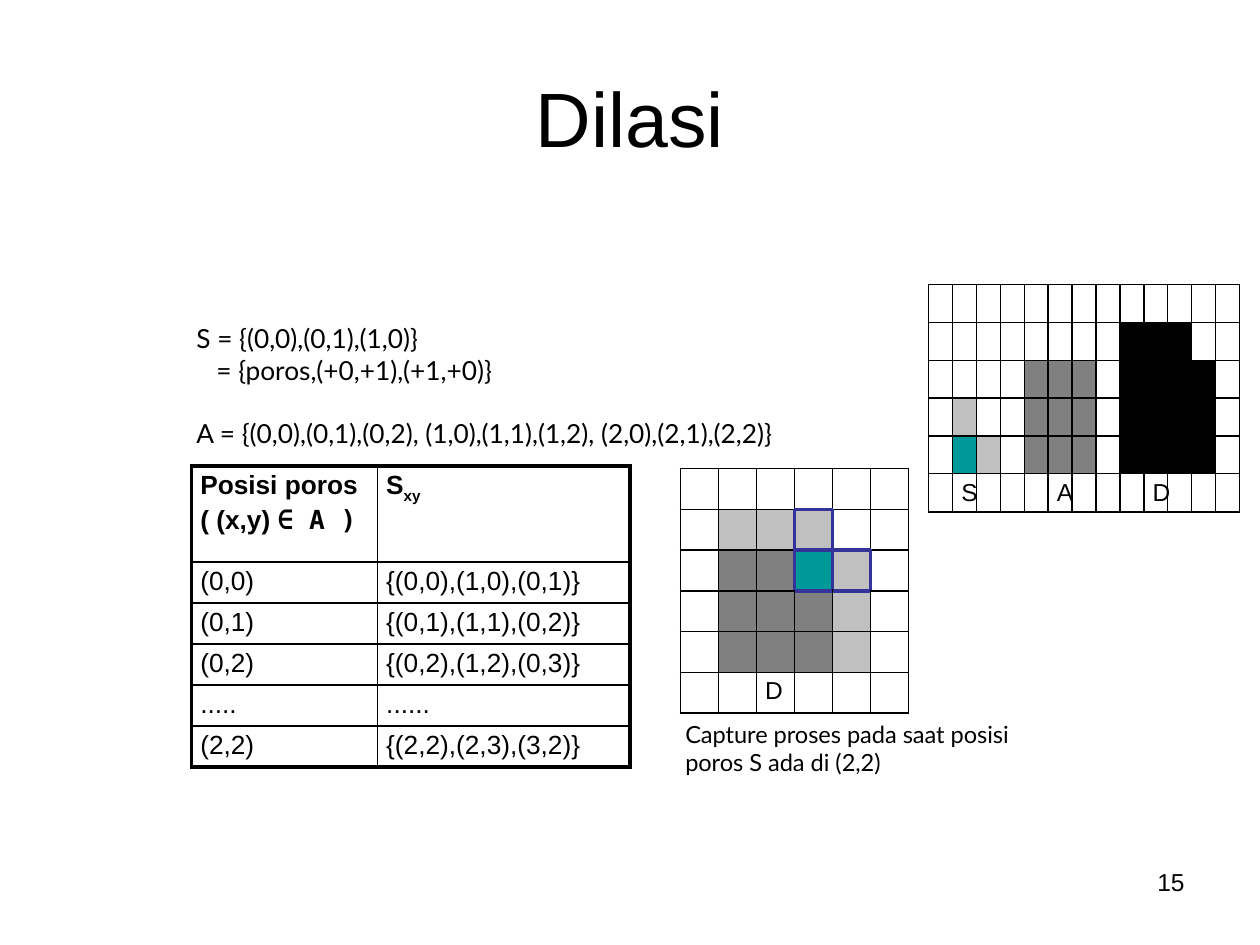
"""Build the slide that explains dilation with two pixel grids and a table of positions."""
from dataclasses import dataclass

from lxml.etree import SubElement
from pptx import Presentation
from pptx.dml.color import RGBColor
from pptx.enum.text import MSO_ANCHOR, PP_ALIGN
from pptx.oxml.ns import qn
from pptx.util import Inches, Pt


@dataclass(frozen=True)
class Theme:
    sans: str = "Arial"
    body: str = "Lato"
    mono: str = "DejaVu Sans Mono"
    ink: str = "000000"
    highlight: str = "333399"
    title_size: float = 44
    text_size: float = 15
    label_size: float = 14
    caption_size: float = 13.5
    empty_size: float = 8
    thin: float = 1
    thick: float = 2.25


THEME = Theme()
WIDTH, HEIGHT = Inches(10), Inches(7.5)
FILLS = {"#": "000000", "a": "808080", "s": "C0C0C0", "p": "009999"}

AREAS = {
    "title": (5, 4, 90, 16.67),
    "overview": (73.7, 30.13, 24.7, 24),
    "positions": (15.2, 49.33, 34.8, 31.87),
    "sets": (14.6, 33.47, 55.5, 14.8),
    "capture": (54, 49.6, 18.1, 25.87),
    "caption": (53.4, 75.47, 29.2, 7.47),
    "number": (71.7, 91.07, 23.3, 6.93),
}
OVERVIEW = [
    ".............",
    "........###..",
    "....aaa.####.",
    ".s..aaa.####.",
    ".ps.aaa.####.",
    ".............",
]
OVERVIEW_LABELS = {(5, 1): "S", (5, 5): "A", (5, 9): "D"}
CAPTURE = ["......", ".sss..", ".aaps.", ".aaas.", ".aaas.", "......"]
CAPTURE_LABELS = {(5, 2): "D"}
STRUCTURE_CELLS = {(1, 3), (2, 3), (2, 4)}
POSITIONS = [
    ("(0,0)", "{(0,0),(1,0),(0,1)}"),
    ("(0,1)", "{(0,1),(1,1),(0,2)}"),
    ("(0,2)", "{(0,2),(1,2),(0,3)}"),
    (".....", "......"),
    ("(2,2)", "{(2,2),(2,3),(3,2)}"),
]
POSITION_COLUMNS = (1.48, 2.01)
POSITION_ROWS = (7,) + (3,) * len(POSITIONS)
SETS = [
    "S = {(0,0),(0,1),(1,0)}",
    "= {poros,(+0,+1),(+1,+0)}",
    "A = {(0,0),(0,1),(0,2), (1,0),(1,1),(1,2), (2,0),(2,1),(2,2)}",
]
CAPTION = ["Capture proses pada saat posisi", "poros S ada di (2,2)"]
SIDES = {"L": (0, -1), "R": (0, 1), "T": (-1, 0), "B": (1, 0)}


def place(name):
    left, top, width, height = AREAS[name]
    return [int(share * length / 100) for share, length in
            zip((left, top, width, height), (WIDTH, HEIGHT, WIDTH, HEIGHT))]


def style(paragraph, size, font, bold=False):
    paragraph.font.size = Pt(size)
    paragraph.font.name = font
    paragraph.font.bold = bold
    paragraph.font.color.rgb = RGBColor.from_string(THEME.ink)


def add_text(slide, name, lines, size, font, align=PP_ALIGN.LEFT, anchor=MSO_ANCHOR.TOP):
    frame = slide.shapes.add_textbox(*place(name)).text_frame
    frame.word_wrap = True
    frame.vertical_anchor = anchor
    for index, line in enumerate(lines):
        paragraph = frame.add_paragraph() if index else frame.paragraphs[0]
        paragraph.text = line
        paragraph.alignment = align
        style(paragraph, size, font)
    return frame


def draw_border(cell, side, color, width):
    line = SubElement(cell._tc.get_or_add_tcPr(), qn(f"a:ln{side}"), w=str(Pt(width)))
    SubElement(SubElement(line, qn("a:solidFill")), qn("a:srgbClr"), val=color)


def add_grid(slide, name, column_weights, row_weights, border):
    left, top, width, height = place(name)
    shape = slide.shapes.add_table(len(row_weights), len(column_weights), left, top, width, height)
    table = shape.table
    table.first_row = table.horz_banding = False
    for column, weight in zip(table.columns, column_weights):
        column.width = int(width * weight / sum(column_weights))
    for row, weight in zip(table.rows, row_weights):
        row.height = int(height * weight / sum(row_weights))
    for row in range(len(row_weights)):
        for column in range(len(column_weights)):
            cell = table.cell(row, column)
            cell.margin_left = cell.margin_right = Inches(0.07)
            cell.margin_top, cell.margin_bottom = Inches(0.04), Inches(0.03)
            for side, (down, across) in SIDES.items():
                color, line_width = border((row, column), (row + down, column + across))
                draw_border(cell, side, color, line_width)
            cell.fill.background()
    return table


def add_pixels(slide, name, pixels, labels, outlined=frozenset()):
    def border(here, neighbour):
        if here in outlined or neighbour in outlined:
            return THEME.highlight, THEME.thick
        return THEME.ink, THEME.thin

    table = add_grid(slide, name, [1] * len(pixels[0]), [1] * len(pixels), border)
    for row, line in enumerate(pixels):
        for column, mark in enumerate(line):
            cell = table.cell(row, column)
            paragraph = cell.text_frame.paragraphs[0]
            if mark in FILLS:
                cell.fill.solid()
                cell.fill.fore_color.rgb = RGBColor.from_string(FILLS[mark])
            if (row, column) in labels:
                paragraph.text = labels[row, column]
                style(paragraph, THEME.label_size, THEME.sans)
            else:
                SubElement(paragraph._p, qn("a:endParaRPr"), sz=str(int(THEME.empty_size * 100)))


def add_positions(slide):
    def border(here, neighbour):
        inside = 0 <= neighbour[0] < len(POSITION_ROWS) and 0 <= neighbour[1] < len(POSITION_COLUMNS)
        return THEME.ink, THEME.thin if inside else THEME.thick

    table = add_grid(slide, "positions", POSITION_COLUMNS, POSITION_ROWS, border)
    axis, result = (table.cell(0, column).text_frame for column in range(2))
    axis.paragraphs[0].text = "Posisi poros"
    condition = axis.add_paragraph()
    condition.space_before = Pt(3)
    condition.add_run().text = "( (x,y) "
    membership = condition.add_run()
    membership.text = "∈ A )"
    membership.font.name = THEME.mono
    result.paragraphs[0].add_run().text = "S"
    subscript = result.paragraphs[0].add_run()
    subscript.text = "xy"
    subscript.font._element.set("baseline", "-25000")
    for paragraph in (*axis.paragraphs, *result.paragraphs):
        style(paragraph, THEME.text_size, THEME.sans, bold=True)
    for row, texts in enumerate(POSITIONS, start=1):
        for column, text in enumerate(texts):
            paragraph = table.cell(row, column).text_frame.paragraphs[0]
            paragraph.text = text
            style(paragraph, THEME.text_size, THEME.sans)


def main():
    presentation = Presentation()
    presentation.slide_width, presentation.slide_height = WIDTH, HEIGHT
    slide = presentation.slides.add_slide(presentation.slide_layouts[6])
    add_text(slide, "title", ["Dilasi"], THEME.title_size, THEME.sans,
             PP_ALIGN.CENTER, MSO_ANCHOR.MIDDLE)
    add_pixels(slide, "overview", OVERVIEW, OVERVIEW_LABELS)
    add_positions(slide)
    sets = add_text(slide, "sets", SETS, THEME.text_size, THEME.body)
    sets.paragraphs[1]._p.get_or_add_pPr().set("marL", str(Inches(0.16)))
    sets.paragraphs[2].space_before = Pt(18)
    add_pixels(slide, "capture", CAPTURE, CAPTURE_LABELS, STRUCTURE_CELLS)
    add_text(slide, "caption", CAPTION, THEME.caption_size, THEME.body)
    add_text(slide, "number", ["15"], THEME.label_size, THEME.sans, PP_ALIGN.RIGHT)
    presentation.save("out.pptx")


if __name__ == "__main__":
    main()
